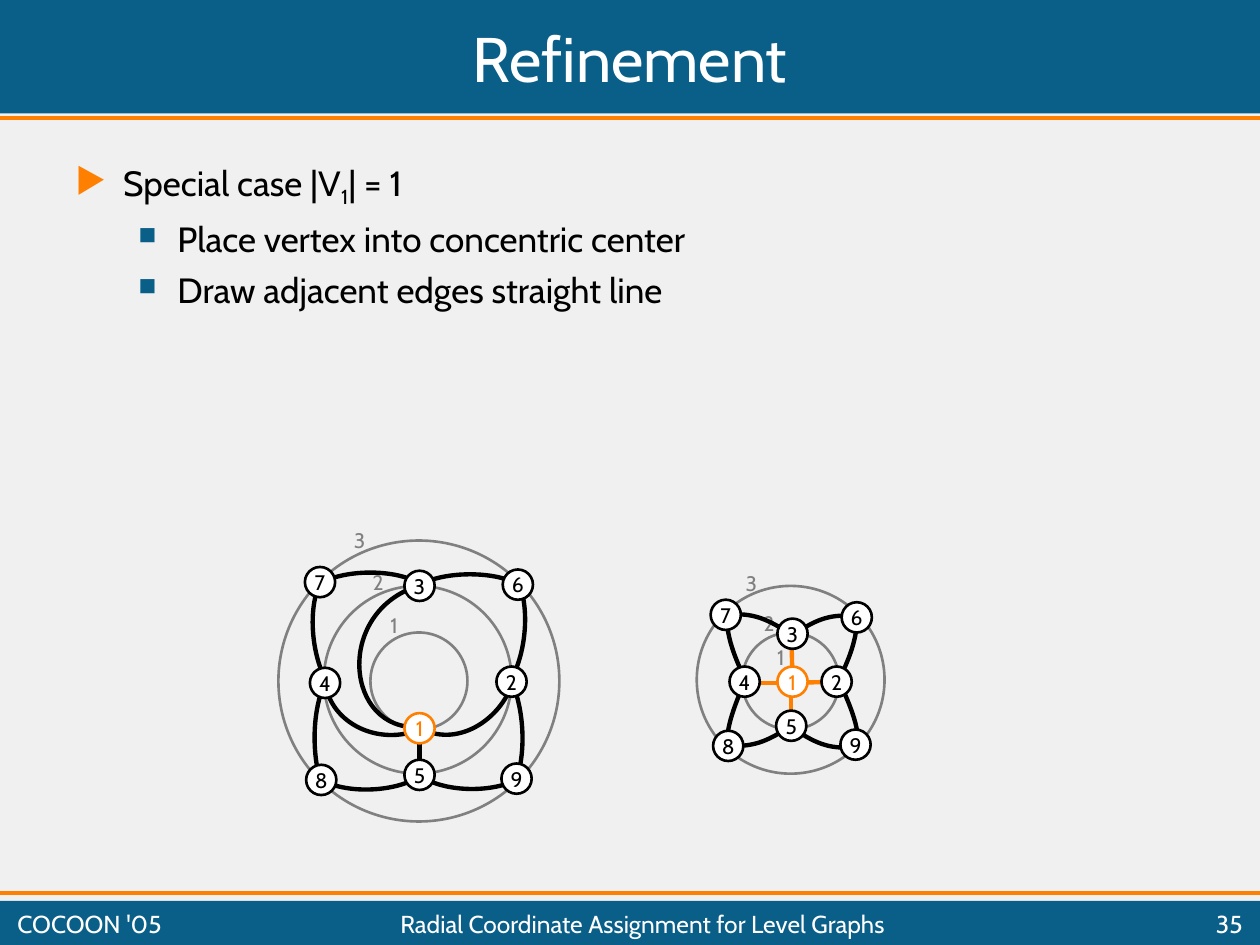
from lxml import etree
from pptx import Presentation, util as u
from pptx.dml.color import RGBColor
from pptx.enum import shapes, text
from pptx.oxml.ns import qn

PX = 9144  # one px is a hundredth of an inch
FONT = "Cabin"
BLUE, ORANGE, GREY = "0A5F89", "FF7F00", "808080"
BLACK, WHITE, PAPER = "000000", "FFFFFF", "F0F0F0"
LEFT, CENTER, RIGHT = text.PP_ALIGN.LEFT, text.PP_ALIGN.CENTER, text.PP_ALIGN.RIGHT
NODE = 24

# Each figure: coordinates are relative to its own box
LEVEL_FIGURE = {
    "circles": [(74, 92, 77), (37, 55, 149), (1, 19, 223)],
    "labels": [(80, 71), (66, 37), (51, 4)],
    "lines": [(113, 168, 113, 207)],
    "line_color": BLACK,
    "curves": [
        [(113, 167), (54, 171), (45, 76), (112, 55)],
        [(113, 169), (81, 182), (43, 165), (38, 132)],
        [(112, 55), (129, 44), (170, 42), (192, 54)],
        [(192, 53), (200, 73), (198, 106), (186, 129)],
        [(187, 131), (178, 161), (142, 185), (112, 167)],
        [(187, 133), (195, 153), (198, 183), (190, 209)],
        [(114, 54), (97, 42), (56, 41), (34, 53)],
        [(33, 55), (25, 75), (27, 108), (39, 131)],
        [(37, 134), (29, 153), (27, 183), (34, 209)],
        [(113, 206), (96, 218), (57, 221), (35, 209)],
        [(114, 206), (131, 218), (168, 220), (190, 209)],
    ],
    "nodes": [(101, 156), (174, 119), (101, 43), (26, 120), (101, 193),
              (179, 42), (22, 40), (23, 197), (178, 196)],
}
CENTERED_FIGURE = {
    "circles": [(39, 62, 77), (3, 25, 149)],
    "labels": [(57, 67), (46, 40), (32, 8)],
    "lines": [(78, 101, 78, 140), (78, 61, 79, 100),
              (117, 101, 78, 102), (78, 102, 39, 102)],
    "line_color": ORANGE,
    "curves": [
        [(117, 102), (120, 111), (132, 133), (131, 151)],
        [(79, 138), (96, 149), (107, 155), (128, 153)],
        [(40, 103), (37, 112), (26, 134), (27, 153)],
        [(78, 136), (61, 147), (50, 153), (29, 152)],
        [(116, 99), (120, 91), (131, 69), (130, 50)],
        [(79, 64), (96, 53), (107, 47), (128, 49)],
        [(41, 98), (37, 90), (26, 67), (27, 49)],
        [(77, 63), (60, 52), (48, 46), (28, 48)],
    ],
    "nodes": [(67, 89), (102, 89), (67, 51), (29, 89), (66, 124),
              (118, 38), (14, 36), (16, 140), (117, 139)],
}


def color(value):
    return RGBColor.from_string(value)


def add_span(para, words, size, ink, baseline=0):
    span = para.add_run()
    span.text = words
    span.font.size, span.font.name = u.Pt(size), FONT
    span.font.color.rgb = color(ink)
    if baseline:
        span.font._element.set("baseline", str(baseline * 1000))


def write(frame, words, size=12, ink=BLACK, align=LEFT, wrap=True, middle=True):
    frame.word_wrap = wrap
    frame.vertical_anchor = text.MSO_ANCHOR.MIDDLE if middle else text.MSO_ANCHOR.TOP
    para = frame.paragraphs[0]
    para.alignment = align
    add_span(para, words, size, ink)


def add_text(page, left, top, width, height, words, **style):
    box = page.shapes.add_textbox(left * PX, top * PX, width * PX, height * PX)
    write(box.text_frame, words, **style)


def add_shape(page, kind, left, top, width, height, fill=None, line=None):
    shape = page.shapes.add_shape(kind, left * PX, top * PX, width * PX, height * PX)
    shape.shadow.inherit = False
    if fill:
        shape.fill.solid()
        shape.fill.fore_color.rgb = color(fill)
    else:
        shape.fill.background()
    if line:
        shape.line.color.rgb = color(line)
        shape.line.width = u.Pt(1.5)
    else:
        shape.line.fill.background()
    return shape


def add_line(page, x1, y1, x2, y2, ink, width):
    line = page.shapes.add_connector(
        shapes.MSO_CONNECTOR.STRAIGHT, x1 * PX, y1 * PX, x2 * PX, y2 * PX)
    line.line.color.rgb = color(ink)
    line.line.width = u.Pt(width)
    etree.SubElement(line._element.spPr, qn("a:effectLst"))


def add_curve(page, points):
    """Draw a cubic curve from its start, two control points and end."""
    builder = page.shapes.build_freeform(*points[0], scale=PX)
    builder.add_line_segments(points[1:], close=False)
    curve = builder.convert_to_shape()
    outline = curve._element.xpath(".//a:path")[0]
    bezier = etree.SubElement(outline, qn("a:cubicBezTo"))
    for segment in outline.findall(qn("a:lnTo")):
        bezier.append(segment[0])
        outline.remove(segment)
    curve.shadow.inherit = False
    curve.fill.background()
    curve.line.color.rgb = color(BLACK)
    curve.line.width = u.Pt(2.5)


def set_bullet(para, char, ink, margin, indent, percent):
    props = para._p.get_or_add_pPr()
    props.set("marL", str(margin * PX))
    props.set("indent", str(-indent * PX))
    tint = etree.SubElement(props, qn("a:buClr"))
    etree.SubElement(tint, qn("a:srgbClr"), val=ink)
    etree.SubElement(props, qn("a:buSzPct"), val=str(percent * 1000))
    etree.SubElement(props, qn("a:buChar"), char=char)


def add_header(page, left, top, width, height):
    add_shape(page, shapes.MSO_SHAPE.RECTANGLE, left, top, width, height, BLUE)
    add_line(page, left, top + height + 4, left + width, top + height + 4, ORANGE, 2.25)
    add_text(page, left + 4, top + 4, width - 8, height - 7, "Refinement",
             size=36, ink=WHITE, align=CENTER)


def add_footer(page, left, top, width, height):
    add_shape(page, shapes.MSO_SHAPE.RECTANGLE, left, top, width, height, BLUE)
    add_line(page, left, top - 6, left + width, top - 6, ORANGE, 2.25)
    for x, w, words, align in (
            (4, 144, "COCOON '05", LEFT),
            (150, 720, "Radial Coordinate Assignment for Level Graphs", CENTER),
            (878, 118, "35", RIGHT)):
        add_text(page, left + x, top + 4, w, 28, words, size=14, ink=WHITE, align=align)


def add_body(page, left, top, width, height):
    box = page.shapes.add_textbox(left * PX, top * PX, width * PX, height * PX)
    frame = box.text_frame
    write(frame, "Special case |V", size=20, middle=False)
    para = frame.paragraphs[0]
    add_span(para, "1", 20, BLACK, baseline=-25)
    add_span(para, "| = 1", 20, BLACK)
    para.space_before = u.Pt(12.5)
    set_bullet(para, "▶", ORANGE, 38, 38, 100)
    for words in ("Place vertex into concentric center",
                  "Draw adjacent edges straight line"):
        para = frame.add_paragraph()
        para.level = 1
        para.space_before = u.Pt(5)
        add_span(para, words, 20, BLACK)
        set_bullet(para, "■", BLUE, 81, 31, 70)


def add_figure(page, left, top, figure):
    # Level circles and their numbers
    for x, y, size in figure["circles"]:
        add_shape(page, shapes.MSO_SHAPE.OVAL, left + x, top + y, size, size, line=GREY)
    for level, (x, y) in enumerate(figure["labels"], 1):
        add_text(page, left + x, top + y, 29, 30, str(level),
                 ink=GREY, wrap=False, middle=False)
    # Edges
    for x1, y1, x2, y2 in figure["lines"]:
        add_line(page, left + x1, top + y1, left + x2, top + y2,
                 figure["line_color"], 2.5)
    for points in figure["curves"]:
        add_curve(page, [(left + x, top + y) for x, y in points])
    # Vertices, the first one highlighted
    for number, (x, y) in enumerate(figure["nodes"], 1):
        ink = ORANGE if number == 1 else BLACK
        node = add_shape(page, shapes.MSO_SHAPE.OVAL, left + x, top + y,
                         NODE, NODE, WHITE, ink)
        write(node.text_frame, str(number), ink=ink, align=CENTER, wrap=False)


def main():
    deck = Presentation()
    deck.slide_width, deck.slide_height = 1000 * PX, 750 * PX
    page = deck.slides.add_slide(deck.slide_layouts[6])
    page.background.fill.solid()
    page.background.fill.fore_color.rgb = color(PAPER)
    add_header(page, 0, 0, 1000, 90)
    add_body(page, 50, 123, 900, 261)
    add_figure(page, 220, 410, LEVEL_FIGURE)
    add_figure(page, 550, 440, CENTERED_FIGURE)
    add_footer(page, 0, 715, 1000, 35)
    deck.save("out.pptx")


if __name__ == "__main__":
    main()
